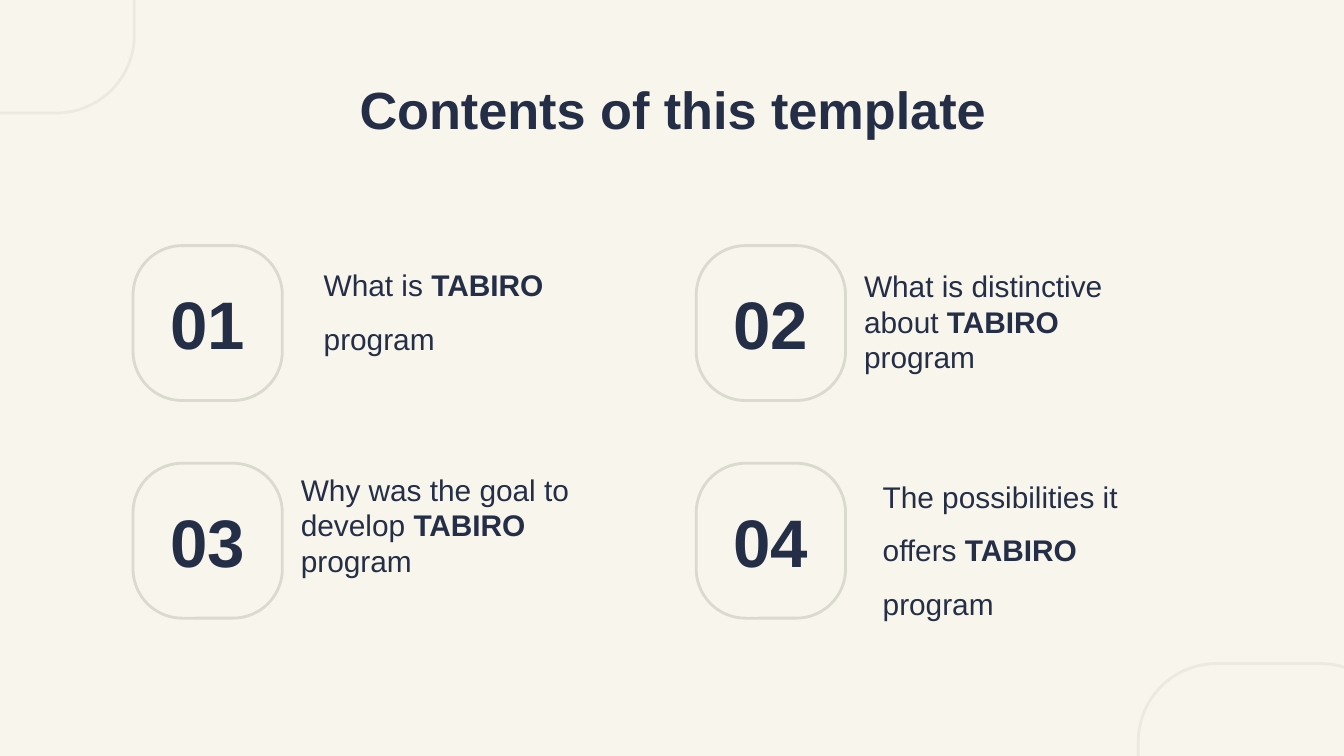
from dataclasses import dataclass

from pptx import Presentation
from pptx.dml.color import RGBColor
from pptx.enum.shapes import MSO_SHAPE as Preset
from pptx.enum.text import MSO_ANCHOR as Anchor, MSO_AUTO_SIZE as AutoSize, PP_ALIGN as Align
from pptx.util import Pt

INK = "252E47"
CREAM = "F8F5EC"
BADGE_LINE = "DADACE"
CORNER_LINE = "ECE9E1"
FONT = "Arial"
PROGRAM = "TABIRO"
INSET = 7.2
BADGE_WIDTH, BADGE_HEIGHT = 80, 83
COLUMNS = (71.3, 373)
ROWS = (131.6, 248.2)


@dataclass(frozen=True)
class Box:
    left: float
    top: float
    width: float
    height: float

    def lengths(self) -> tuple:
        return Pt(self.left), Pt(self.top), Pt(self.width), Pt(self.height)


@dataclass(frozen=True)
class Topic:
    number: str
    column: int
    row: int
    lines: tuple[str, ...]
    box: Box
    indent: float = 0
    spacing: float = 1.0


CORNERS = (
    Box(-67.7, -106.4, 139.7, 167),
    Box(609.8, 355.5, 139.7, 167),
)

TOPICS = (
    Topic("01", 0, 0, (f"What is {PROGRAM} program",),
          Box(154.1, 128.9, 181.4, 66.2), 12.24, 1.5),
    Topic("02", 1, 0, (f"What is distinctive about {PROGRAM} program",),
          Box(455.8, 130.3, 181.4, 83.5)),
    Topic("03", 0, 1, (f"Why was the goal to develop {PROGRAM} program",),
          Box(154.1, 247, 181.4, 68.4)),
    Topic("04", 1, 1, ("The possibilities it", f"offers {PROGRAM}", "program"),
          Box(455, 255.6, 181.4, 68.4), 10.8, 1.5),
)


def color(value: str) -> RGBColor:
    return RGBColor.from_string(value)


def add_outline(slide, box: Box, line_color: str, rounding: float) -> None:
    outline = slide.shapes.add_shape(Preset.ROUNDED_RECTANGLE, *box.lengths())
    outline.adjustments[0] = rounding
    outline.shadow.inherit = False
    outline.fill.background()
    outline.line.color.rgb = color(line_color)
    outline.line.width = Pt(1.5)


def prepare_frame(frame) -> None:
    frame.word_wrap = True
    frame.auto_size = AutoSize.NONE
    frame.vertical_anchor = Anchor.MIDDLE
    frame.margin_left = frame.margin_right = Pt(INSET)
    frame.margin_top = frame.margin_bottom = Pt(INSET)


def style(paragraph, size: float) -> None:
    paragraph.font.name = FONT
    paragraph.font.size = Pt(size)
    paragraph.font.color.rgb = color(INK)


def write_heading(frame, text: str, size: float) -> None:
    prepare_frame(frame)
    frame.text = text
    heading = frame.paragraphs[0]
    heading.alignment = Align.CENTER
    style(heading, size)
    heading.font.bold = True


def write_line(paragraph, text: str, topic: Topic) -> None:
    paragraph.line_spacing = topic.spacing
    if topic.indent:
        paragraph._p.get_or_add_pPr().set("marL", str(Pt(topic.indent)))
    style(paragraph, 16)
    before, name, after = text.partition(PROGRAM)
    for part in filter(None, (before, name, after)):
        run = paragraph.add_run()
        run.text = part
        run.font.bold = part == PROGRAM


def add_topic(slide, topic: Topic) -> None:
    badge = Box(COLUMNS[topic.column], ROWS[topic.row], BADGE_WIDTH, BADGE_HEIGHT)
    add_outline(slide, badge, BADGE_LINE, 0.33)
    number = slide.shapes.add_textbox(*badge.lengths())
    write_heading(number.text_frame, topic.number, 36)

    description = slide.shapes.add_textbox(*topic.box.lengths()).text_frame
    prepare_frame(description)
    for index, line in enumerate(topic.lines):
        paragraph = description.add_paragraph() if index else description.paragraphs[0]
        write_line(paragraph, line, topic)


def main() -> None:
    deck = Presentation()
    deck.slide_width, deck.slide_height = Pt(720), Pt(405)
    slide = deck.slides.add_slide(deck.slide_layouts[5])
    slide.background.fill.solid()
    slide.background.fill.fore_color.rgb = color(CREAM)

    for corner in CORNERS:
        add_outline(slide, corner, CORNER_LINE, 0.3)

    title = slide.shapes.title
    title.left, title.top, title.width, title.height = Box(56.9, 35.3, 607, 45.4).lengths()
    write_heading(title.text_frame, "Contents of this template", 28)

    for topic in TOPICS:
        add_topic(slide, topic)

    deck.save("out.pptx")


if __name__ == "__main__":
    main()
